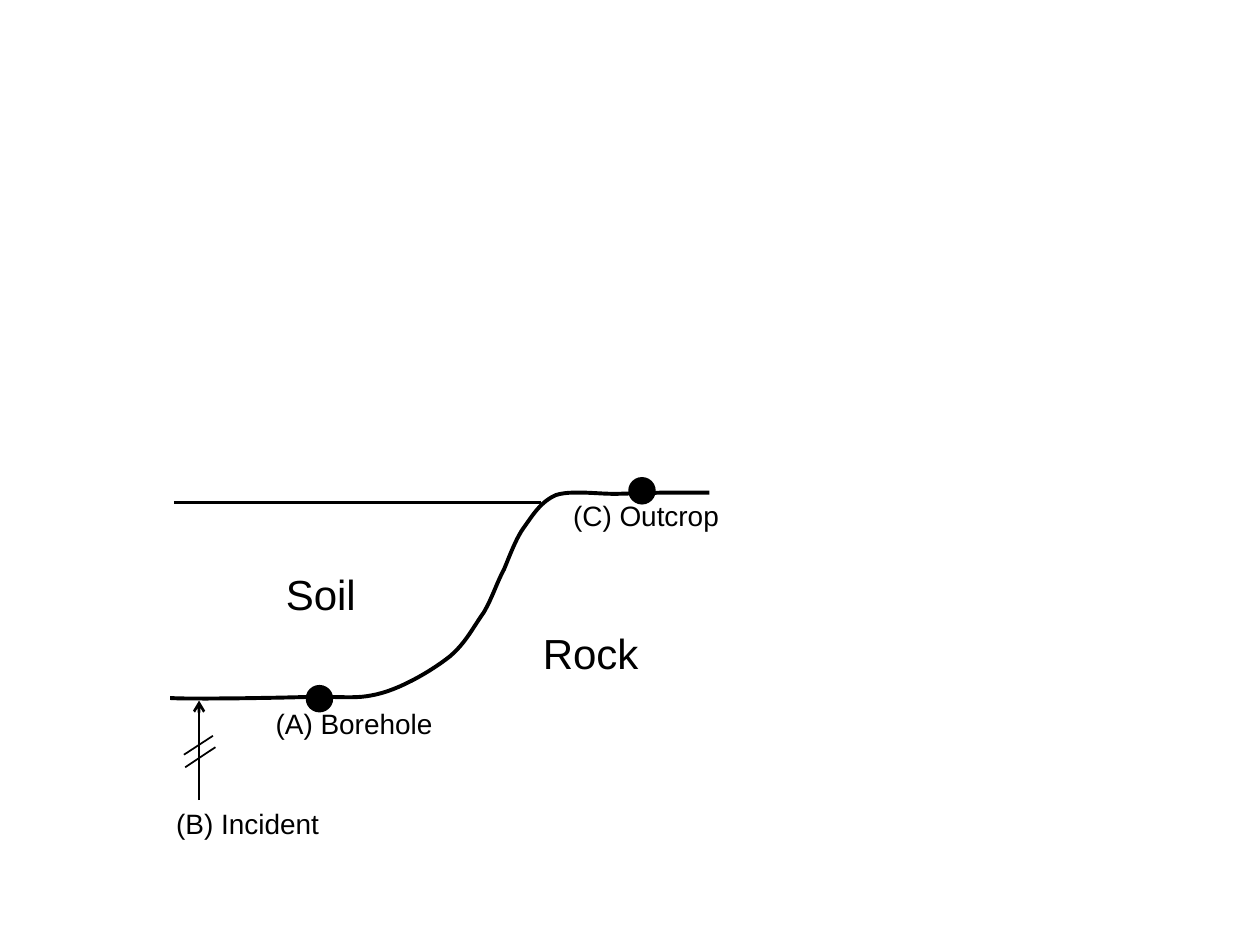
"""Build a slide of a soil basin over rock with three ground motion locations."""
import pptx
import pptx.util
import pptx.dml.color
import pptx.enum.shapes
import pptx.oxml

Inches, Pt = pptx.util.Inches, pptx.util.Pt

THEME = {"ink": pptx.dml.color.RGBColor(0, 0, 0), "font": "Arial",
         "layer": 24, "site": 16}

LABELS = [
    ("Rock", "layer", 4.21, 4.93, 1.26, 0.5),
    ("Soil", "layer", 2.17, 4.46, 1.26, 0.5),
    ("(B) Incident", "site", 1.3, 6.35, 1.42, 0.37),
    ("(A) Borehole", "site", 2.09, 5.56, 1.73, 0.37),
    ("(C) Outcrop", "site", 4.45, 3.91, 1.65, 0.37),
]
ROCK_START = (1.35, 5.54)
ROCK_CURVES = [
    ((1.47, 5.55), (2.21, 5.54), (2.49, 5.53)),
    ((2.77, 5.53), (2.85, 5.55), (3.03, 5.5)),
    ((3.21, 5.45), (3.43, 5.32), (3.57, 5.21)),
    ((3.7, 5.1), (3.76, 4.97), (3.84, 4.86)),
    ((3.91, 4.74), (3.94, 4.63), (4, 4.52)),
    ((4.05, 4.4), (4.1, 4.26), (4.17, 4.17)),
    ((4.24, 4.07), (4.3, 3.98), (4.41, 3.93)),
    ((4.53, 3.89), (4.74, 3.92), (4.88, 3.92)),
]
ROCK_END = [(5.27, 3.91), (5.63, 3.91)]
SURFACE = (1.38, 3.99, 4.29, 3.99)
WAVE = (1.58, 6.35, 1.58, 5.56)
BREAK_MARKS = [(1.46, 5.99, 1.69, 5.84), (1.47, 6.09, 1.71, 5.93)]
SITES = [(5, 3.8), (2.44, 5.45)]
SITE_SIZE = 0.19
STEPS = 12


def bezier(a, b, c, d, t):
    u = 1 - t
    return tuple(u**3 * i + 3 * u * u * t * j + 3 * u * t * t * k + t**3 * m
                 for i, j, k, m in zip(a, b, c, d))


def rock_points():
    points = [ROCK_START]
    for b, c, d in ROCK_CURVES:
        a = points[-1]
        points += [bezier(a, b, c, d, n / STEPS) for n in range(1, STEPS + 1)]
    return points + ROCK_END


def ink_line(shape, width):
    shape.line.color.rgb = THEME["ink"]
    shape.line.width = Pt(width)


def add_line(s, ends, width, arrow=False):
    line = s.shapes.add_connector(pptx.enum.shapes.MSO_CONNECTOR.STRAIGHT,
                                  *map(Inches, ends))
    ink_line(line, width)
    if arrow:
        pptx.oxml.ns  
        tail = line.line._get_or_add_ln().makeelement(
            pptx.oxml.ns.qn("a:tailEnd"), {"type": "arrow"})
        line.line._get_or_add_ln().append(tail)
    props = line._element.spPr
    props.append(props.makeelement(pptx.oxml.ns.qn("a:effectLst"), {}))


def add_label(s, text, kind, *box):
    tf = s.shapes.add_textbox(*map(Inches, box)).text_frame
    tf.word_wrap = True
    p = tf.paragraphs[0]
    p.text = text
    p.font.name = THEME["font"]
    p.font.size = Pt(THEME[kind])
    p.font.color.rgb = THEME["ink"]


prs = pptx.Presentation()
prs.slide_width, prs.slide_height = Inches(10), Inches(7.5)
s = prs.slides.add_slide(prs.slide_layouts[6])

start, *rest = [tuple(map(Inches, point)) for point in rock_points()]
builder = s.shapes.build_freeform(*start)
builder.add_line_segments(rest, close=False)
rock = builder.convert_to_shape()
rock.fill.background()
rock.shadow.inherit = False
ink_line(rock, 2.25)

add_line(s, SURFACE, 1.5)
for left, top in SITES:
    sp = s.shapes.add_shape(pptx.enum.shapes.MSO_SHAPE.OVAL,
                            *map(Inches, (left, top, SITE_SIZE, SITE_SIZE)))
    sp.shadow.inherit = False
    sp.fill.solid()
    sp.fill.fore_color.rgb = THEME["ink"]
    ink_line(sp, 2)
add_line(s, WAVE, 1.5, arrow=True)
for mark in BREAK_MARKS:
    add_line(s, mark, 1)
for label in LABELS:
    add_label(s, *label)

prs.save("out.pptx")
